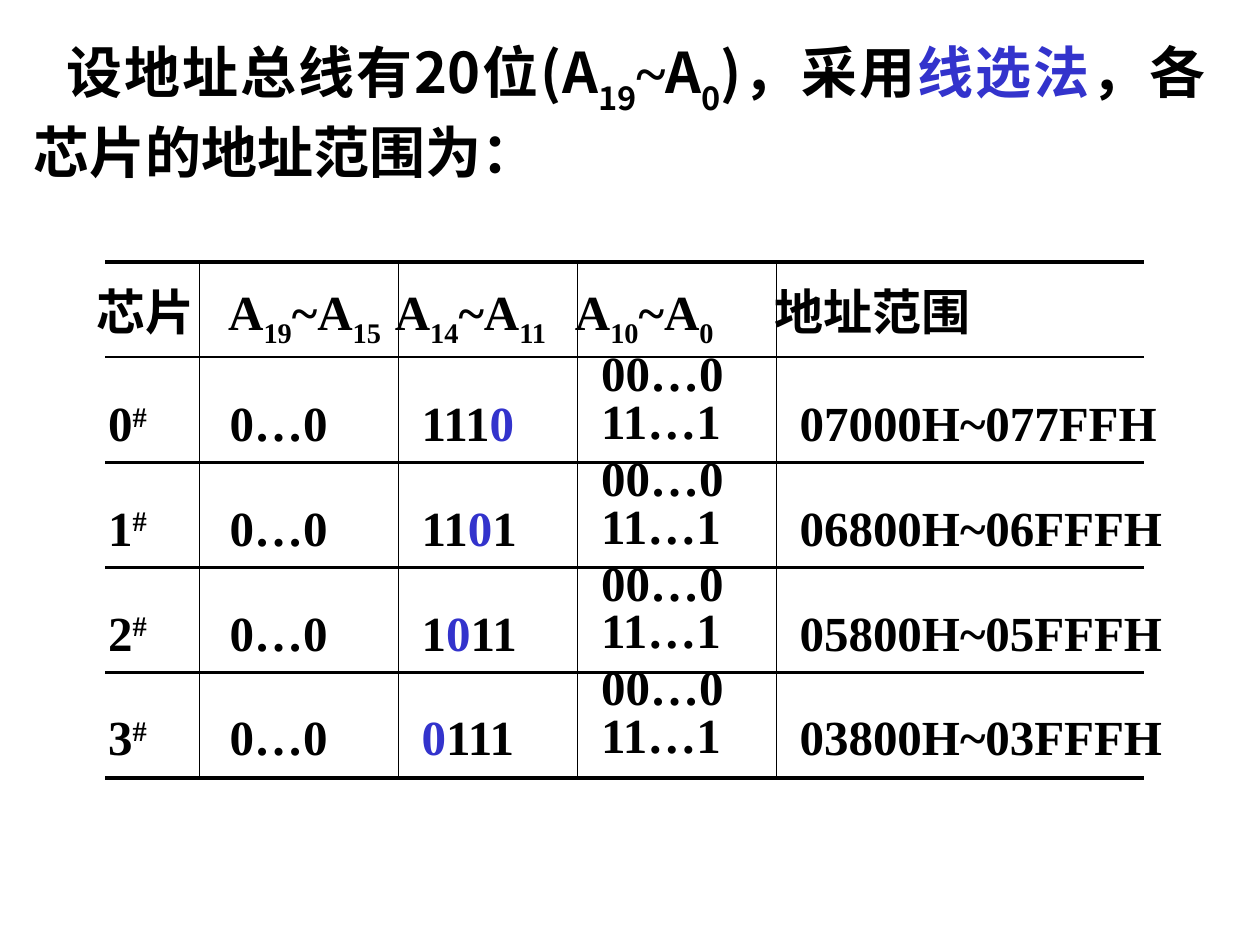
from lxml import etree
from pptx import Presentation
from pptx.dml.color import RGBColor
from pptx.enum.shapes import MSO_CONNECTOR
from pptx.enum.text import MSO_ANCHOR, PP_ALIGN
from pptx.oxml.ns import qn
from pptx.util import Cm, Pt

STRAIGHT = MSO_CONNECTOR.STRAIGHT
JUSTIFY = PP_ALIGN.JUSTIFY
TOP, BOTTOM = MSO_ANCHOR.TOP, MSO_ANCHOR.BOTTOM

COLORS = {"text": "000000", "accent": "3333CC", "rule": "000000"}
SANS, SERIF = "Noto Sans CJK SC", "Times New Roman"
BASELINES = {"title sub": -30, "sub": -25, "sup": 30}  # percent

# Runs are (text, style) pairs
TITLE_RUNS = [
    ("设地址总线有20位(A", ""), ("19", "title sub"), ("~", "serif"), ("A", ""),
    ("0", "title sub"), (")，采用", ""), ("线选法", "accent"),
    ("，各芯片的地址范围为：", ""),
]
SELECT_BITS = 4
ADDRESS_RANGES = ["07000H~077FFH", "06800H~06FFFH",
                  "05800H~05FFFH", "03800H~03FFFH"]

# Text cells, in cm; the text reaches a little past the rules
TABLE_LEFT, TABLE_TOP = 1.94, 5.29
COLUMN_WIDTHS = [2.08, 3.94, 3.63, 4.03, 7.93]
HEADER_HEIGHT, ROW_HEIGHT = 1.84, 2.11
HEADER_INSETS = [0, 0.58, 0, 0, 0]
BODY_INSETS = [0.24, 0.61, 0.54, 0.53, 0.5]

# Rules, in cm
RULE_LEFT, RULE_RIGHT = 2.12, 23.07
RULE_TOP, HEADER_RULE, RULE_STEP = 5.29, 7.2, 2.12
COLUMN_RULES = [4.02, 8.04, 11.64, 15.66]


def add_runs(paragraph, runs, size, font_name):
    for text, style in runs:
        run = paragraph.add_run()
        run.text = text
        font = run.font
        font.size, font.bold = Pt(size), True
        font.name = SERIF if style == "serif" else font_name
        color = "accent" if style == "accent" else "text"
        font.color.rgb = RGBColor.from_string(COLORS[color])
        properties = run._r.get_or_add_rPr()
        east_asian = etree.Element(qn("a:ea"), typeface=SANS)
        properties.find(qn("a:latin")).addnext(east_asian)
        if style in BASELINES:
            properties.set("baseline", str(BASELINES[style] * 1000))


def add_title(slide):
    box = slide.shapes.add_textbox(Cm(0.43), Cm(0.64), Cm(24.13), Cm(3.23))
    box.text_frame.word_wrap = True
    paragraph = box.text_frame.paragraphs[0]
    paragraph.alignment = JUSTIFY
    paragraph.space_before = Pt(20)
    paragraph._p.get_or_add_pPr().set("indent", str(Cm(0.66)))
    add_runs(paragraph, TITLE_RUNS, 32, SANS)


def add_rule(slide, x1, y1, x2, y2, width):
    rule = slide.shapes.add_connector(STRAIGHT, Cm(x1), Cm(y1), Cm(x2), Cm(y2))
    rule.line.color.rgb = RGBColor.from_string(COLORS["rule"])
    rule.line.width = Pt(width)
    etree.SubElement(rule._element.spPr, qn("a:effectLst"))


def add_rules(slide):
    row_rules = [HEADER_RULE + RULE_STEP * row
                 for row in range(len(ADDRESS_RANGES))]
    bottom = row_rules[-1] + RULE_STEP
    for y in (RULE_TOP, bottom):
        add_rule(slide, RULE_LEFT, y, RULE_RIGHT, y, 2.25)
    for y in row_rules:
        add_rule(slide, RULE_LEFT, y, RULE_RIGHT, y, 1.5)
    for x in COLUMN_RULES:
        add_rule(slide, x, RULE_TOP, x, bottom, 0.75)


def clear_borders(cell):
    properties = cell._tc.get_or_add_tcPr()
    for position, side in enumerate("LRTB"):
        border = etree.Element(qn(f"a:ln{side}"))
        etree.SubElement(border, qn("a:noFill"))
        properties.insert(position, border)


def fill_cell(cell, lines, inset, bottom, anchor=BOTTOM, spacing=1.0):
    cell.fill.background()
    clear_borders(cell)
    cell.vertical_anchor = anchor
    cell.margin_left, cell.margin_bottom = Cm(inset), Cm(bottom)
    cell.margin_right = cell.margin_top = Cm(0)
    frame = cell.text_frame
    for index, runs in enumerate(lines):
        paragraph = frame.add_paragraph() if index else frame.paragraphs[0]
        paragraph.line_spacing = spacing
        add_runs(paragraph, runs, 28, SERIF)


def bit_span(high, low):
    return [("A", ""), (str(high), "sub"), ("~A", ""), (str(low), "sub")]


def select_code(chip):
    """All ones, with the zero that selects this chip in the accent colour."""
    runs = [("1" * (SELECT_BITS - 1 - chip), ""), ("0", "accent"),
            ("1" * chip, "")]
    return [run for run in runs if run[0]]


def add_address_table(slide):
    heights = [HEADER_HEIGHT] + [ROW_HEIGHT] * len(ADDRESS_RANGES)
    table = slide.shapes.add_table(
        len(heights), len(COLUMN_WIDTHS), Cm(TABLE_LEFT), Cm(TABLE_TOP),
        Cm(sum(COLUMN_WIDTHS)), Cm(sum(heights))).table
    table.first_row = table.horz_banding = False
    for column, width in zip(table.columns, COLUMN_WIDTHS):
        column.width = Cm(width)
    for row, height in zip(table.rows, heights):
        row.height = Cm(height)

    # Header
    headings = [[("芯片", "")], bit_span(19, 15), bit_span(14, 11),
                bit_span(10, 0), [("地址范围", "")]]
    for column, (runs, inset) in enumerate(zip(headings, HEADER_INSETS)):
        bottom = 0.09 if len(runs) > 1 else 0.18
        fill_cell(table.cell(0, column), [runs], inset, bottom)

    # One row for each chip
    for chip, address_range in enumerate(ADDRESS_RANGES):
        contents = [
            [[(str(chip), ""), ("#", "sup")]],
            [[("0…0", "")]],
            [select_code(chip)],
            [[("00…0", "")], [("11…1", "")]],
            [[(address_range, "")]],
        ]
        for column, (lines, inset) in enumerate(zip(contents, BODY_INSETS)):
            cell = table.cell(chip + 1, column)
            if len(lines) > 1:
                fill_cell(cell, lines, inset, 0, TOP, 0.88)
            else:
                fill_cell(cell, lines, inset, 0.12)


def main():
    presentation = Presentation()
    presentation.slide_width, presentation.slide_height = Cm(25.4), Cm(19.05)
    slide = presentation.slides.add_slide(presentation.slide_layouts[6])
    add_title(slide)
    add_rules(slide)
    add_address_table(slide)
    presentation.save("out.pptx")


if __name__ == "__main__":
    main()
